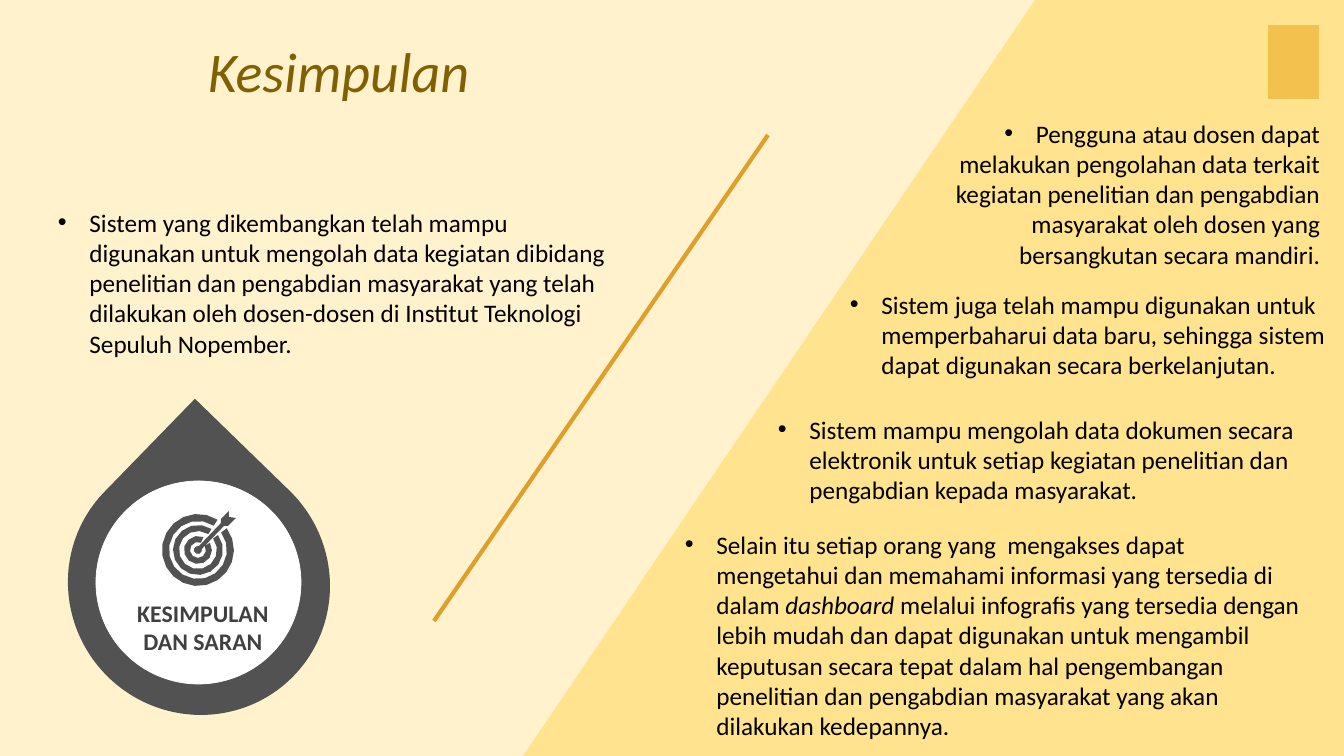
"""Build the closing slide "Kesimpulan" with its conclusions and target badge."""
from math import cos, radians, sin

from lxml import etree
from pptx import Presentation
from pptx.dml.color import RGBColor
from pptx.enum.shapes import MSO_CONNECTOR, MSO_SHAPE
from pptx.enum.text import MSO_ANCHOR, MSO_AUTO_SIZE, PP_ALIGN
from pptx.oxml.ns import qn
from pptx.util import Pt

LEFT, CENTER, RIGHT = PP_ALIGN.LEFT, PP_ALIGN.CENTER, PP_ALIGN.RIGHT
TOP, MIDDLE = MSO_ANCHOR.TOP, MSO_ANCHOR.MIDDLE
GROW = MSO_AUTO_SIZE.SHAPE_TO_FIT_TEXT
RECTANGLE, TEARDROP, OVAL = MSO_SHAPE.RECTANGLE, MSO_SHAPE.TEAR, MSO_SHAPE.OVAL
STRAIGHT = MSO_CONNECTOR.STRAIGHT

CREAM = RGBColor(0xFF, 0xF2, 0xCC)
YELLOW = RGBColor(0xFF, 0xD9, 0x66)
ORANGE = RGBColor(0xE0, 0x9F, 0x2B)
BROWN = RGBColor(0x80, 0x60, 0x00)
GRAY = RGBColor(0x52, 0x52, 0x52)
DARK = RGBColor(0x40, 0x40, 0x40)
WHITE = RGBColor(0xFF, 0xFF, 0xFF)
BLACK = RGBColor(0x00, 0x00, 0x00)

PX = 914400 / 100.8
WIDTH, HEIGHT = 1344, 756
FONT = "Calibri"
INDENT = Pt(22.5)
FINE = 10

TITLE = "Kesimpulan"
BADGE_LABEL = ["KESIMPULAN", "DAN SARAN"]
CONCLUSIONS = [
    ((48, 202, 578, 163), LEFT, [
        ("Sistem yang dikembangkan telah mampu digunakan untuk mengolah data kegiatan "
         "dibidang penelitian dan pengabdian masyarakat yang telah dilakukan oleh "
         "dosen-dosen di Institut Teknologi Sepuluh Nopember.", False)]),
    ((909, 113, 421, 163), RIGHT, [
        ("Pengguna atau dosen dapat melakukan pengolahan data terkait kegiatan penelitian "
         "dan pengabdian masyarakat oleh dosen yang bersangkutan secara mandiri.", False)]),
    ((840, 284, 504, 102), LEFT, [
        ("Sistem juga telah mampu digunakan untuk memperbaharui data baru, sehingga sistem "
         "dapat digunakan secara berkelanjutan.", False)]),
    ((768, 409, 576, 102), LEFT, [
        ("Sistem mampu mengolah data dokumen secara elektronik untuk setiap kegiatan "
         "penelitian dan pengabdian kepada masyarakat.", False)]),
    ((675, 524, 643, 224), LEFT, [
        ("Selain itu setiap orang yang  mengakses dapat mengetahui dan memahami informasi "
         "yang tersedia di dalam ", False),
        ("dashboard ", True),
        ("melalui infografis yang tersedia dengan lebih mudah dan dapat digunakan untuk "
         "mengambil keputusan secara tepat dalam hal pengembangan penelitian dan "
         "pengabdian masyarakat yang akan dilakukan kedepannya.", False)]),
]

PANEL = [(1035, 0), (WIDTH, 0), (WIDTH, HEIGHT), (523, HEIGHT)]
TARGET_CENTER = (198, 550)
TARGET_RINGS = [(36, 29, 57, 37), (25, 19, 57, 37), (14, 8, 67, 31)]
DART = [(224, 526), (228, 526), (236, 518), (229, 517), (229, 511), (221, 519), (221, 523)]


def emu(*lengths):
    return [round(length * PX) for length in lengths]


def paint(shape, color):
    shape.fill.solid()
    shape.fill.fore_color.rgb = color
    shape.line.fill.background()
    shape.shadow.inherit = False
    return shape


def add_outline(shapes, contours, color):
    first, *others = [[(x * FINE, y * FINE) for x, y in contour] for contour in contours]
    builder = shapes.build_freeform(*first[0], scale=PX / FINE)
    builder.add_line_segments(first[1:])
    for contour in others:
        builder.move_to(*contour[0])
        builder.add_line_segments(contour[1:])
    return paint(builder.convert_to_shape(), color)


def arc(radius, start, end):
    center_x, center_y = TARGET_CENTER
    steps = 6 + radius // 3
    angles = [radians(start + (end - start) * step / steps) for step in range(steps + 1)]
    return [(center_x + radius * cos(angle), center_y - radius * sin(angle))
            for angle in angles]


def add_bullet(paragraph):
    properties = paragraph._p.get_or_add_pPr()
    properties.set("marL", str(int(INDENT)))
    properties.set("indent", str(-int(INDENT)))
    etree.SubElement(properties, qn("a:buFont")).set("typeface", "Arial")
    etree.SubElement(properties, qn("a:buChar")).set("char", "•")


def add_text(shapes, box, paragraphs, size=18, color=BLACK, bold=False,
             align=LEFT, anchor=TOP, bullet=False):
    frame = shapes.add_textbox(*emu(*box)).text_frame
    frame.word_wrap = True
    frame.auto_size = GROW
    frame.vertical_anchor = anchor
    for index, pieces in enumerate(paragraphs):
        paragraph = frame.add_paragraph() if index else frame.paragraphs[0]
        paragraph.alignment = align
        if bullet:
            add_bullet(paragraph)
        for words, italic in pieces:
            run = paragraph.add_run()
            run.text = words
            run.font.name = FONT
            run.font.size = Pt(size)
            run.font.color.rgb = color
            run.font.bold = bold
            run.font.italic = italic


def add_background(slide):
    slide.background.fill.solid()
    slide.background.fill.fore_color.rgb = CREAM
    paint(slide.shapes.add_shape(RECTANGLE, *emu(1268, 25, 51, 74)), ORANGE)
    panel = add_outline(slide.shapes, [PANEL], YELLOW)
    tint = panel.fill._xPr.find(qn("a:solidFill"))[0]
    etree.SubElement(tint, qn("a:alpha")).set("val", "60000")
    divider = slide.shapes.add_connector(STRAIGHT, *emu(434, 621, 768, 135))
    divider.line.color.rgb = ORANGE
    divider.line.width = Pt(3)
    etree.SubElement(divider._element.spPr, qn("a:effectLst"))


def add_badge(shapes):
    drop = paint(shapes.add_shape(TEARDROP, *emu(69, 452, 260, 264)), GRAY)
    drop.rotation = 314.2
    disc = paint(shapes.add_shape(OVAL, *emu(96, 481, 205, 203)), WHITE)
    disc.line.color.rgb = WHITE
    disc.line.width = Pt(0.5)
    add_text(shapes, (51, 593, 304, 68), [[(line, False)] for line in BADGE_LABEL],
             size=17, color=DARK, bold=True, align=CENTER, anchor=MIDDLE)
    rings = [arc(outer, start, end + 360) + arc(inner, end + 360, start)
             for outer, inner, start, end in TARGET_RINGS]
    add_outline(shapes, rings + [arc(4, 75, 375) + DART], GRAY)


def main():
    deck = Presentation()
    deck.slide_width, deck.slide_height = emu(WIDTH, HEIGHT)
    slide = deck.slides.add_slide(deck.slide_layouts[6])
    add_background(slide)
    add_badge(slide.shapes)
    add_text(slide.shapes, (198, 32, 615, 78), [[(TITLE, True)]], size=40, color=BROWN)
    for box, align, pieces in CONCLUSIONS:
        add_text(slide.shapes, box, [pieces], align=align, bullet=True)
    deck.save("out.pptx")


if __name__ == "__main__":
    main()
